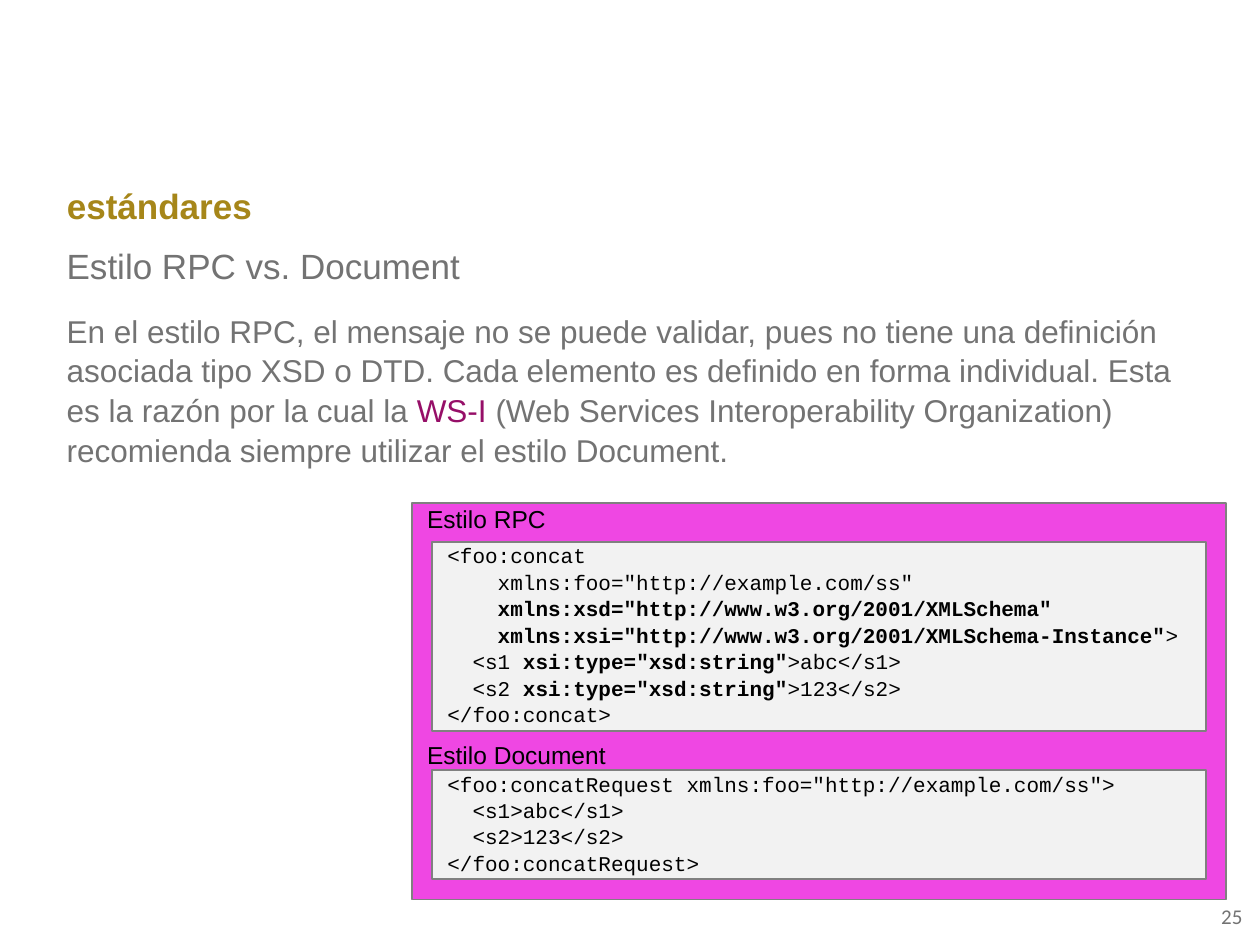
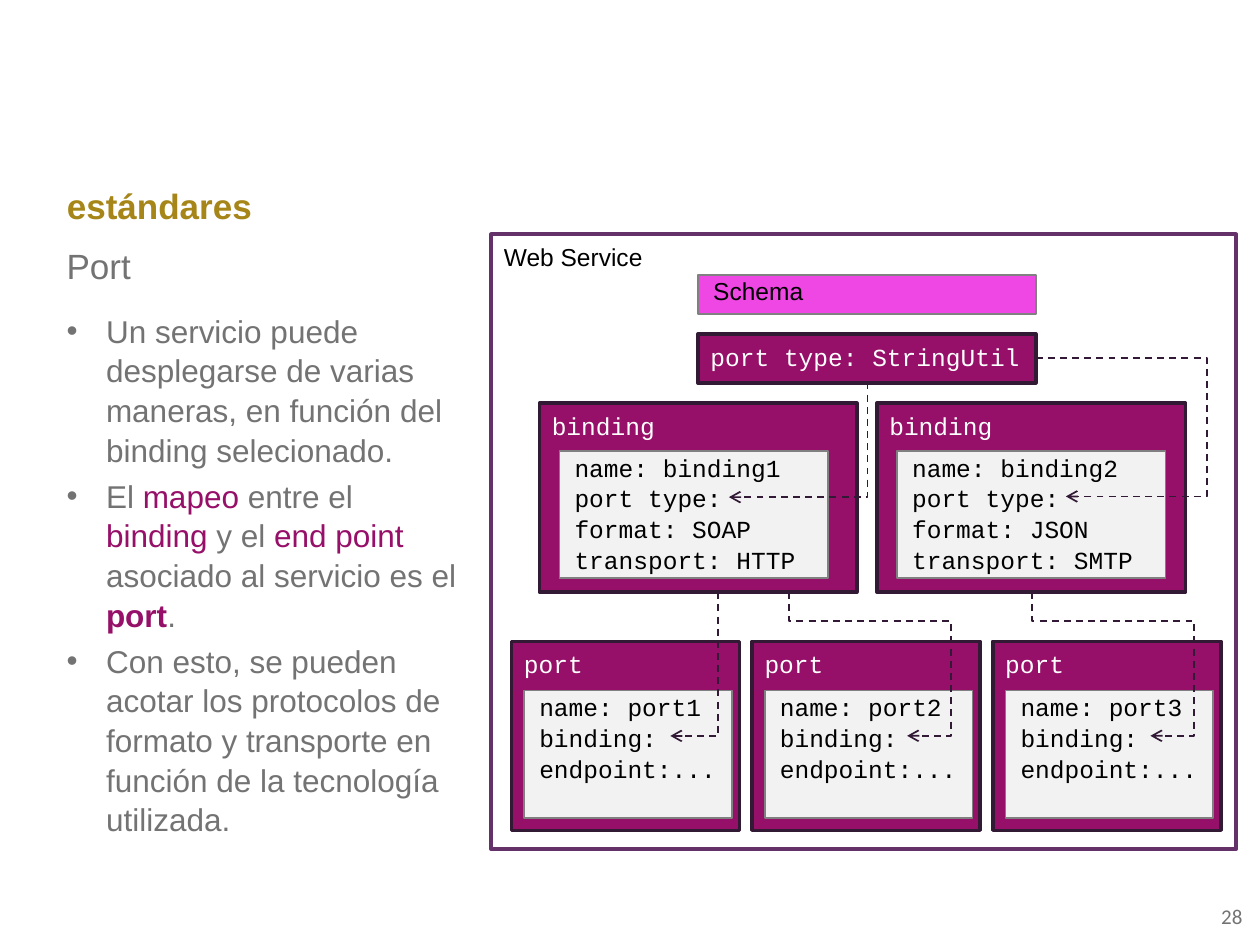
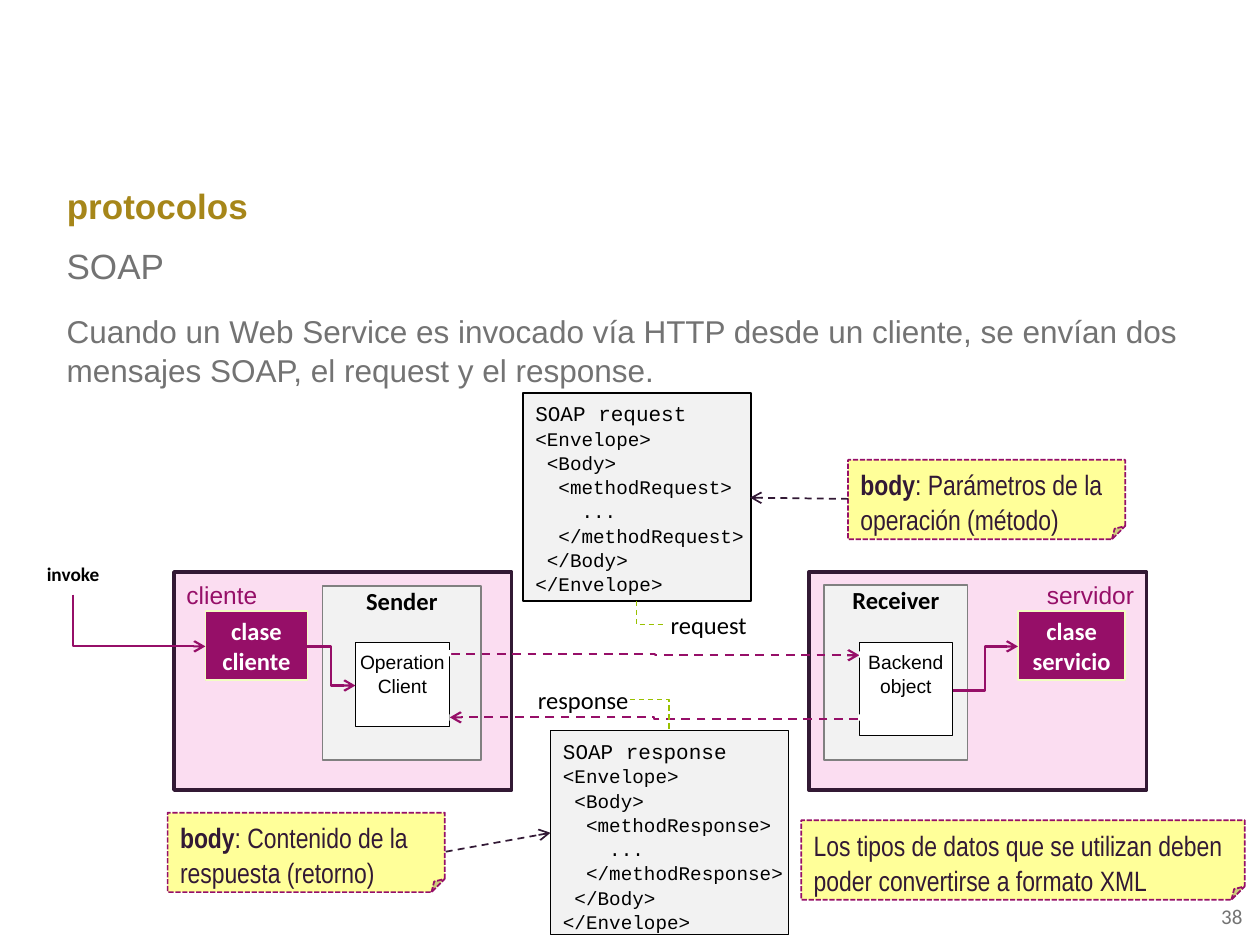
from lxml import etree
from pptx import Presentation
from pptx.dml.color import RGBColor
from pptx.enum.dml import MSO_LINE
from pptx.enum.shapes import MSO_CONNECTOR, MSO_SHAPE
from pptx.enum.text import MSO_ANCHOR, MSO_AUTO_SIZE, PP_ALIGN
from pptx.oxml.ns import qn
from pptx.util import Pt

LEFT, MID, RIGHT = PP_ALIGN.LEFT, PP_ALIGN.CENTER, PP_ALIGN.RIGHT
TOP, CENTER = MSO_ANCHOR.TOP, MSO_ANCHOR.MIDDLE
DASH, DOTS = MSO_LINE.DASH, MSO_LINE.SQUARE_DOT
RECT, NOTE, ELBOW = MSO_SHAPE.RECTANGLE, MSO_SHAPE.FOLDED_CORNER, MSO_CONNECTOR.ELBOW

HEX = {
    "gold": "A68619", "text": "737373", "plum": "960F68", "dark": "321934",
    "ink": "321935", "pink": "EF47E3", "pale": "FBDDF1", "light": "F2F2F2",
    "gray": "808080", "frame": "643269", "cream": "F1FEC2", "note": "FFFF99",
    "lime": "99C100", "black": "000000", "white": "FFFFFF",
}
SANS, NARROW, CALIBRI, MONO = "Arial", "Arial Narrow", "Calibri", "Courier New"
WIDE = (8.64, 0)
BASE = (7.2, 3.6)
NONE = (0, 0)

# A paragraph is a string or a list of runs; a run is a string or
# (string, marks), where mark "b" is bold and "k" is the key colour.
RPC_BODY = [[
    "En el estilo RPC, el mensaje no se puede validar, pues no tiene una definición "
    "asociada tipo XSD o DTD. Cada elemento es definido en forma individual. Esta es "
    "la razón por la cual la ",
    ("WS-I ", "k"),
    "(Web Services Interoperability Organization) recomienda siempre utilizar el "
    "estilo Document.",
]]
RPC_CODE = [
    "<foo:concat",
    '    xmlns:foo="http://example.com/ss"',
    ["    ", ('xmlns:xsd="http://www.w3.org/2001/XMLSchema"', "b")],
    ["    ", ('xmlns:xsi="http://www.w3.org/2001/XMLSchema-Instance"', "b"), ">"],
    ["  <s1 ", ('xsi:type="xsd:string"', "b"), ">abc</s1>"],
    ["  <s2 ", ('xsi:type="xsd:string"', "b"), ">123</s2>"],
    "</foo:concat>",
]
DOC_CODE = [
    '<foo:concatRequest xmlns:foo="http://example.com/ss">',
    "  <s1>abc</s1>",
    "  <s2>123</s2>",
    "</foo:concatRequest>",
]
PORT_BODY = [
    "Un servicio puede desplegarse de varias maneras, en función del binding selecionado.",
    ["El ", ("mapeo", "k"), " entre el ", ("binding ", "k"), "y el ",
     ("end point ", "k"), "asociado al servicio es el ", ("port", "kb"), "."],
    "Con esto, se pueden acotar los protocolos de formato y transporte en función de "
    "la tecnología utilizada.",
]
BINDINGS = [  # left, width, name, format, transport
    (308.2, 181.4, "binding1", "SOAP", "HTTP"),
    (501.1, 176.4, "binding2", "JSON", "SMTP"),
]
# Elbow routes: box, bends, rotation, flip, adjustments
PORT_LINKS = [
    ((423.4, 211.7, 65.5, 79.2), 2, 90, "", ()),
    ((591.8, 204.5, 17.3, 79.2), 3, 0, "", (5.66,)),
    ((355.7, 365.8, 82.1, 27.4), 2, 90, "", ()),
    ((443.5, 345.6, 82.1, 67.7), 4, 270, "H", (0.2, 1.37)),
    ((582.5, 345.6, 82.1, 67.7), 4, 270, "H", (0.2, 1.37)),
]
SOAP_BODY = [
    "Cuando un Web Service es invocado vía HTTP desde un cliente, se envían dos "
    "mensajes SOAP, el request y el response.",
]
SIDES = [  # box, name, alignment
    ((99.4, 326.9, 193, 124.6), "cliente", LEFT),
    ((462.2, 326.9, 193, 124.6), "servidor", RIGHT),
]
ROLES = [
    ((184.3, 334.8, 90.7, 99.4), "Sender"),
    ((470.9, 334.1, 82.1, 100.1), "Receiver"),
]
CLASSES = [
    ((117.4, 349.2, 58.3, 39.6), ["clase", "cliente"]),
    ((581.8, 349.2, 61.2, 39.6), ["clase", "servicio"]),
]
OBJECTS = [
    ((203, 367.2, 54, 48.2), ["Operation", "Client"]),
    ((491, 367.2, 53.3, 53.3), ["Backend", "object"]),
]
LABELS = [  # box, text, size, bold
    ((20.2, 315.4, 43.2, 24.5), "invoke", 11, True),
    ((378.7, 344.9, 52.6, 24.5), "request", 14, False),
    ((306.7, 387.4, 53.3, 24.5), "response", 14, False),
]
MESSAGES = [  # box, message, method
    ((298.8, 224.6, 130.3, 118.8), "request", "methodRequest"),
    ((314.6, 417.6, 136.1, 116.6), "response", "methodResponse"),
]
NOTES = [
    ((484.6, 262.8, 158.4, 45.4),
     [[("body", "b"), ": Parámetros de la operación (método)"]]),
    ((95.8, 464.4, 158.4, 45.4),
     [[("body", "b"), ": Contenido de la respuesta (retorno)"]]),
    ((457.9, 468.7, 253.4, 45.4),
     ["Los tipos de datos que se utilizan deben poder convertirse a formato XML"]),
]
CALLS = [  # route, dash
    (((64.8, 316.8, 29.5, 75.6), 2, 270, "H", ()), None),
    (((175, 369.4, 28.1, 22.3), 3, 0, "", (0.5,)), None),
    (((544.3, 369.4, 37.4, 25.2), 3, 0, "V", (0.5,)), None),
    (((257.8, 373.7, 233.3, 0.7), 3, 0, "", (0.5,)), DASH),
    (((257, 409.9, 233.3, 1), 3, 180, "", (0.5,)), DASH),
]
LEADS = [
    ((364.3, 342.7, 13.7, 15.1), 2, 270, "H", ()),
    ((360, 399.6, 22.3, 18), 2, 0, "", ()),
]
POINTERS = [(484.6, 285.1, 428.6, 284.4), (254.7, 486.7, 314.6, 475.9)]
PINS = [(254.2, 371.5), (253.4, 408.2), (490.3, 408.2), (491, 372.2)]


def rgb(name):
    return RGBColor.from_string(HEX[name])


def write(frame, paras, font, size, color, bold=False, align=LEFT,
          anchor=TOP, inset=BASE, wrap=True, bullet=False):
    frame.word_wrap, frame.vertical_anchor = wrap, anchor
    frame.auto_size = MSO_AUTO_SIZE.NONE
    frame.margin_left = frame.margin_right = Pt(inset[0])
    frame.margin_top = frame.margin_bottom = Pt(inset[1])
    for i, runs in enumerate(paras):
        para = frame.paragraphs[0] if i == 0 else frame.add_paragraph()
        para.alignment = align
        para.line_spacing = 1.0 if font == CALIBRI else 1.05
        if bullet:
            para.space_before = Pt(3.6 if i else 0)
            props = para._p.get_or_add_pPr()
            props.set("marL", str(Pt(22.5)))
            props.set("indent", str(-Pt(22.5)))
            etree.SubElement(props, qn("a:buFont")).set("typeface", SANS)
            etree.SubElement(props, qn("a:buChar")).set("char", "•")
        for part in [runs] if isinstance(runs, str) else runs:
            text, marks = (part, "") if isinstance(part, str) else part
            run = para.add_run()
            run.text = text
            run.font.name, run.font.size = font, Pt(size)
            run.font.bold = bold or "b" in marks
            run.font.color.rgb = rgb("plum" if "k" in marks else color)


def label(slide, box, *args, **style):
    area = slide.shapes.add_textbox(*map(Pt, box))
    write(area.text_frame, *args, **style)


def block(slide, box, fill, edge, width=1, kind=RECT, dash=None):
    """Add a shape and return its text frame."""
    shape = slide.shapes.add_shape(kind, *map(Pt, box))
    shape.shadow.inherit = False
    if fill:
        shape.fill.solid()
        shape.fill.fore_color.rgb = rgb(fill)
    else:
        shape.fill.background()
    if edge:
        shape.line.color.rgb = rgb(edge)
        shape.line.width = Pt(width)
        if dash:
            shape.line.dash_style = dash
    else:
        shape.line.fill.background()
    return shape.text_frame


def panel(slide, box, lines, size):
    """Add a light box that shows code."""
    write(block(slide, box, "light", "gray"), lines, MONO, size, "black", inset=WIDE)


def stroke(line, color, width, dash, arrow):
    line.line.color.rgb = rgb(color)
    line.line.width = Pt(width)
    if dash:
        line.line.dash_style = dash
    props = line._element.spPr
    if arrow:
        etree.SubElement(props.find(qn("a:ln")), qn("a:tailEnd")).set("type", "arrow")
    etree.SubElement(props, qn("a:effectLst"))


def elbow(slide, route, color, width, dash=DASH, arrow=True):
    (x, y, w, h), bends, turn, flip, adjust = route
    line = slide.shapes.add_connector(ELBOW, Pt(x), Pt(y), Pt(x + w), Pt(y + h))
    props = line._element.spPr
    frame, shape = props.find(qn("a:xfrm")), props.find(qn("a:prstGeom"))
    frame.set("rot", str(turn * 60000))
    if flip:
        frame.set("flip" + flip, "1")
    shape.set("prst", f"bentConnector{bends}")
    for old in list(shape):
        shape.remove(old)
    guides = etree.SubElement(shape, qn("a:avLst"))
    for i, ratio in enumerate(adjust, 1):
        guide = etree.SubElement(guides, qn("a:gd"))
        guide.set("name", "adj" if bends == 2 else f"adj{i}")
        guide.set("fmla", f"val {round(ratio * 100000)}")
    stroke(line, color, width, dash, arrow)


def start(deck, title, topic, body, page, width=652.3, bullet=False):
    """Add a slide with the parts that all slides share."""
    slide = deck.slides.add_slide(deck.slide_layouts[5])
    head = slide.shapes.title
    head.left, head.top, head.width, head.height = map(Pt, (31, 100, 652.3, 34))
    write(head.text_frame, [title], SANS, 20, "gold", bold=True, anchor=CENTER)
    label(slide, (31, 134, 652.3, 34), [topic], SANS, 20, "text", anchor=CENTER)
    label(slide, (31, 173.5, width, 329), body, SANS, 18, "text", bullet=bullet)
    label(slide, (665.3, 509, 51.8, 28.8), [page], CALIBRI, 12, "text",
          align=RIGHT, anchor=CENTER)
    return slide


def styles(deck):
    slide = start(deck, "estándares", "Estilo RPC vs. Document", RPC_BODY, "25")
    write(block(slide, (235.4, 287.3, 465.1, 226.8), "pink", "gray"),
          ["Estilo RPC"], SANS, 14, "black", inset=WIDE)
    label(slide, (235.4, 422.2, 465.1, 17), ["Estilo Document"], SANS, 14, "black",
          inset=WIDE)
    panel(slide, (247, 309.6, 442.1, 108), RPC_CODE, 12)
    panel(slide, (247, 439.9, 442.1, 62.6), DOC_CODE, 12)


def ports(deck):
    slide = start(deck, "estándares", "Port", PORT_BODY, "28", 238.3, True)

    def part(box, text):
        write(block(slide, box, "plum", "dark", 2), [text], MONO, 14, "white")

    write(block(slide, (280.8, 133.9, 425.5, 351.4), None, "frame", 2.25),
          ["Web Service"], SANS, 14, "black")
    write(block(slide, (398.9, 157, 193, 22.3), "pink", "gray"),
          ["Schema"], SANS, 14, "black", inset=WIDE)
    part((398.9, 190.8, 193, 28.1), "port type: StringUtil")
    for x, width, name, form, way in BINDINGS:
        part((x, 230.4, width, 108), "binding")
        panel(slide, (x + 11.5, 257.8, 153.4, 72.7),
              [f"name: {name}", "port type:", f"format: {form}", f"transport: {way}"], 14)
    for i in range(3):
        x = 292.3 + 137.5 * i
        part((x, 366.5, 130.3, 108), "port")
        panel(slide, (x + 7.2, 394.6, 118.8, 72.7),
              [f"name: port{i + 1}", "binding:", "endpoint:..."], 14)
    for route in PORT_LINKS:
        elbow(slide, route, "ink", 1)


def soap(deck):
    slide = start(deck, "protocolos", "SOAP", SOAP_BODY, "38")
    for box, name, align in SIDES:
        write(block(slide, box, "pale", "dark", 2), [name], SANS, 14, "plum", align=align)
    for box, name in ROLES:
        write(block(slide, box, "light", "gray"), [name], CALIBRI, 14, "black",
              bold=True, align=MID, inset=NONE)
    for box, lines in CLASSES:
        write(block(slide, box, "plum", "cream"), lines, CALIBRI, 14, "white",
              bold=True, align=MID, anchor=CENTER)
    for box, lines in OBJECTS:
        write(block(slide, box, "white", "black", 0.75), lines, SANS, 11, "black",
              align=MID, wrap=False)
    for box, text, size, bold in LABELS:
        label(slide, box, [text], CALIBRI, size, "black", bold=bold, align=MID,
              anchor=CENTER, inset=NONE)
    for box, name, method in MESSAGES:
        lines = [f"SOAP {name}", "<Envelope>", " <Body>", f"  <{method}>", "    ...",
                 f"  </{method}>", " </Body>", "</Envelope>"]
        frame = block(slide, box, "light", "black", 0.75)
        write(frame, lines, MONO, 11, "black", wrap=False)
        frame.paragraphs[0].runs[0].font.size = Pt(12)
    for box, paras in NOTES:
        write(block(slide, box, "note", "plum", kind=NOTE, dash=DOTS), paras,
              NARROW, 16, "ink")
    for route, dash in CALLS:
        elbow(slide, route, "plum", 1.25, dash)
    for route in LEADS:
        elbow(slide, route, "lime", 0.75, arrow=False)
    for ends in POINTERS:
        line = slide.shapes.add_connector(MSO_CONNECTOR.STRAIGHT, *map(Pt, ends))
        stroke(line, "ink", 1, DASH, True)
    for x, y in PINS:
        block(slide, (x, y, 3.6, 3.6), "white", None)


def main():
    deck = Presentation()
    deck.slide_width, deck.slide_height = Pt(720), Pt(540)
    styles(deck)
    ports(deck)
    soap(deck)
    deck.save("out.pptx")


if __name__ == "__main__":
    main()
